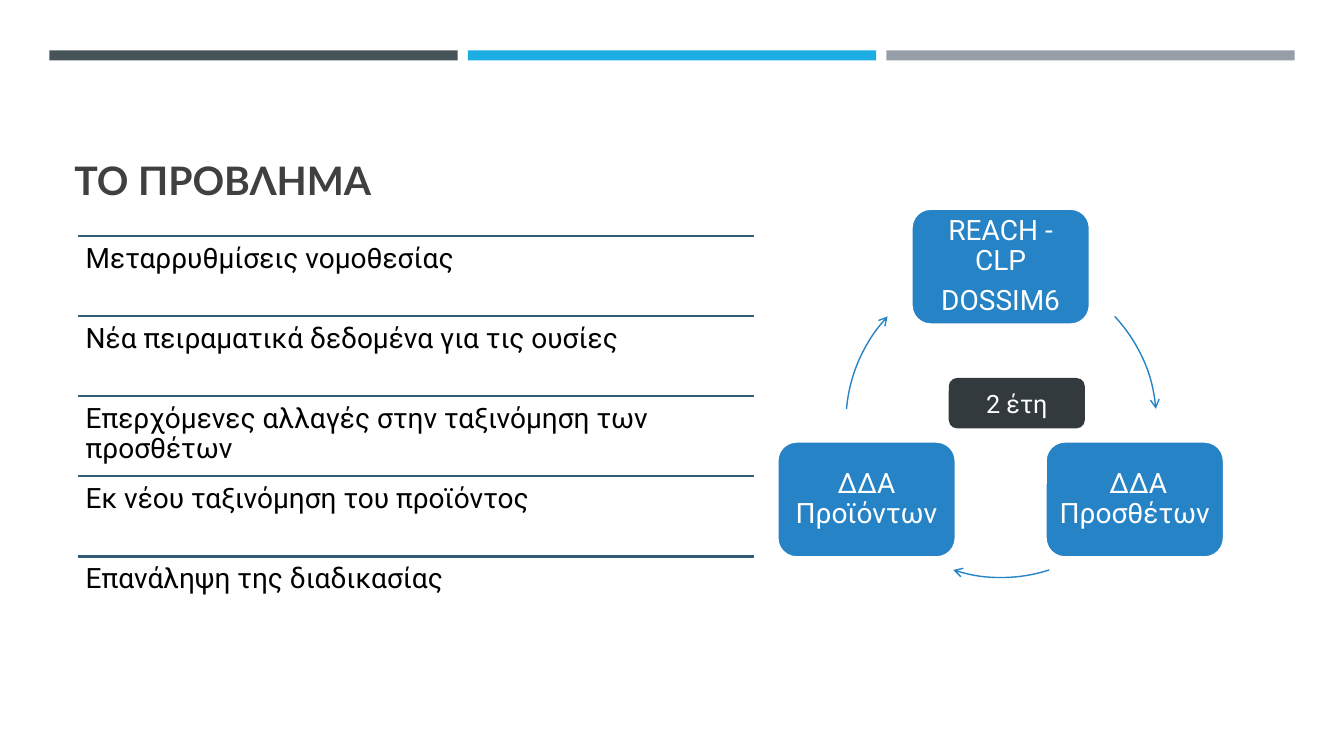
from dataclasses import dataclass

from lxml.etree import SubElement
from pptx import Presentation
from pptx.dml.color import RGBColor as RGB
from pptx.enum.shapes import MSO_CONNECTOR, MSO_SHAPE as SHAPE
from pptx.enum.text import MSO_ANCHOR as ANCHOR, PP_ALIGN as ALIGN
from pptx.oxml.ns import qn
from pptx.shapes.autoshape import Shape
from pptx.slide import Slide
from pptx.text.text import TextFrame
from pptx.util import Inches, Pt


@dataclass(frozen=True)
class Theme:
    heading_font: str = "Lato"
    body_font: str = "Roboto"
    title_size: int = 28
    body_size: int = 20
    label_size: int = 18
    white: str = "FFFFFF"
    black: str = "000000"
    title: str = "404040"
    slate: str = "465359"
    cyan: str = "1CADE4"
    grey: str = "969FA7"
    blue: str = "2683C6"
    rule: str = "335B74"
    dark: str = "333A3E"


@dataclass(frozen=True)
class Box:
    left: float
    top: float
    width: float
    height: float

    def inches(self) -> tuple[int, int, int, int]:
        return (Inches(self.left), Inches(self.top),
                Inches(self.width), Inches(self.height))


@dataclass(frozen=True)
class CycleNode:
    text: str
    left: float
    top: float


@dataclass(frozen=True)
class CycleArrow:
    start: float  # degrees, clockwise from the right
    end: float


THEME = Theme()
BARS = (THEME.slate, THEME.cyan, THEME.grey)
REASONS = (
    "Μεταρρυθμίσεις νομοθεσίας",
    "Νέα πειραματικά δεδομένα για τις ουσίες",
    "Επερχόμενες αλλαγές στην ταξινόμηση των προσθέτων",
    "Εκ νέου ταξινόμηση του προϊόντος",
    "Επανάληψη της διαδικασίας",
)
FIRST_RULE, LAST_RULE = 2.34, 5.52
NODES = (
    CycleNode("REACH - CLP\nDOSSIM6", 9.04, 2.07),
    CycleNode(" ΔΔΑ Προσθέτων", 10.37, 4.38),
    CycleNode("ΔΔΑ Προϊόντων", 7.71, 4.38),
)
ARROWS = (CycleArrow(317, 355), CycleArrow(72, 108), CycleArrow(185, 223))
CYCLE_CIRCLE = Box(8.39, 2.65, 3.08, 3.08)


def write(frame: TextFrame, text: str, size: int, color: str,
          font: str = THEME.body_font, bold: bool = False,
          align: ALIGN = ALIGN.LEFT, anchor: ANCHOR = ANCHOR.TOP) -> None:
    frame.text = text
    frame.word_wrap = True
    frame.vertical_anchor = anchor
    for paragraph in frame.paragraphs:
        paragraph.alignment = align
        for run in paragraph.runs:
            run.font.name = font
            run.font.size = Pt(size)
            run.font.bold = bold
            run.font.color.rgb = RGB.from_string(color)


def tighten(frame: TextFrame, inset: float) -> None:
    frame.margin_left = frame.margin_right = Inches(inset)
    frame.margin_top = frame.margin_bottom = Inches(inset)
    for paragraph in frame.paragraphs:
        paragraph.line_spacing = 0.9
        paragraph.space_after = Pt(7)


def add_filled(slide: Slide, kind: SHAPE, box: Box, color: str) -> Shape:
    shape = slide.shapes.add_shape(kind, *box.inches())
    shape.shadow.inherit = False
    shape.fill.solid()
    shape.fill.fore_color.rgb = RGB.from_string(color)
    shape.line.fill.background()
    return shape


def add_reason(slide: Slide, text: str, top: float, height: float) -> None:
    box = Box(0.77, top, 6.71, height)
    left, y, width, _ = box.inches()
    rule = slide.shapes.add_connector(
        MSO_CONNECTOR.STRAIGHT, left, y, left + width, y)
    rule.line.color.rgb = RGB.from_string(THEME.rule)
    rule.line.width = Pt(1.75)
    SubElement(rule._element.spPr, qn("a:effectLst"))
    frame = slide.shapes.add_textbox(*box.inches()).text_frame
    write(frame, text, THEME.body_size, THEME.black)
    tighten(frame, 0.08)


def add_node(slide: Slide, node: CycleNode) -> None:
    box = Box(node.left, node.top, 1.77, 1.15)
    shape = add_filled(slide, SHAPE.ROUNDED_RECTANGLE, box, THEME.blue)
    shape.line.color.rgb = RGB.from_string(THEME.white)
    shape.line.width = Pt(1.75)
    write(shape.text_frame, node.text, THEME.body_size, THEME.white,
          align=ALIGN.CENTER, anchor=ANCHOR.MIDDLE)
    tighten(shape.text_frame, 0.07)


def add_arrow(slide: Slide, arrow: CycleArrow) -> None:
    arc = slide.shapes.add_shape(SHAPE.ARC, *CYCLE_CIRCLE.inches())
    arc.shadow.inherit = False
    arc.fill.background()
    # Angles are stored in 60000ths of a degree, adjustments in 100000ths
    arc.adjustments[0] = arrow.start * 0.6
    arc.adjustments[1] = arrow.end * 0.6
    arc.line.color.rgb = RGB.from_string(THEME.blue)
    arc.line.width = Pt(1)
    SubElement(arc.line._get_or_add_ln(), qn("a:tailEnd"), type="arrow")


def main() -> None:
    presentation = Presentation()
    presentation.slide_width = Inches(13.33)
    presentation.slide_height = Inches(7.5)
    slide = presentation.slides.add_slide(presentation.slide_layouts[6])

    # Bars along the top
    for index, color in enumerate(BARS):
        box = Box(0.49 + index * 4.15, 0.5, 4.05, 0.1)
        add_filled(slide, SHAPE.RECTANGLE, box, color)

    # Title
    title = slide.shapes.add_textbox(*Box(0.64, 0.77, 12.06, 1.3).inches())
    write(title.text_frame, "ΤΟ ΠΡΟΒΛΗΜΑ", THEME.title_size, THEME.title,
          THEME.heading_font, bold=True, anchor=ANCHOR.BOTTOM)

    # Ruled list of reasons
    pitch = (LAST_RULE - FIRST_RULE) / (len(REASONS) - 1)
    for index, reason in enumerate(REASONS):
        add_reason(slide, reason, FIRST_RULE + index * pitch, pitch)

    # Cycle with its duration in the middle
    for node, arrow in zip(NODES, ARROWS):
        add_node(slide, node)
        add_arrow(slide, arrow)
    duration = add_filled(slide, SHAPE.FLOWCHART_ALTERNATE_PROCESS,
                          Box(9.41, 3.75, 1.35, 0.5), THEME.dark)
    write(duration.text_frame, "2 έτη", THEME.label_size, THEME.white,
          align=ALIGN.CENTER, anchor=ANCHOR.MIDDLE)

    presentation.save("out.pptx")


if __name__ == "__main__":
    main()
